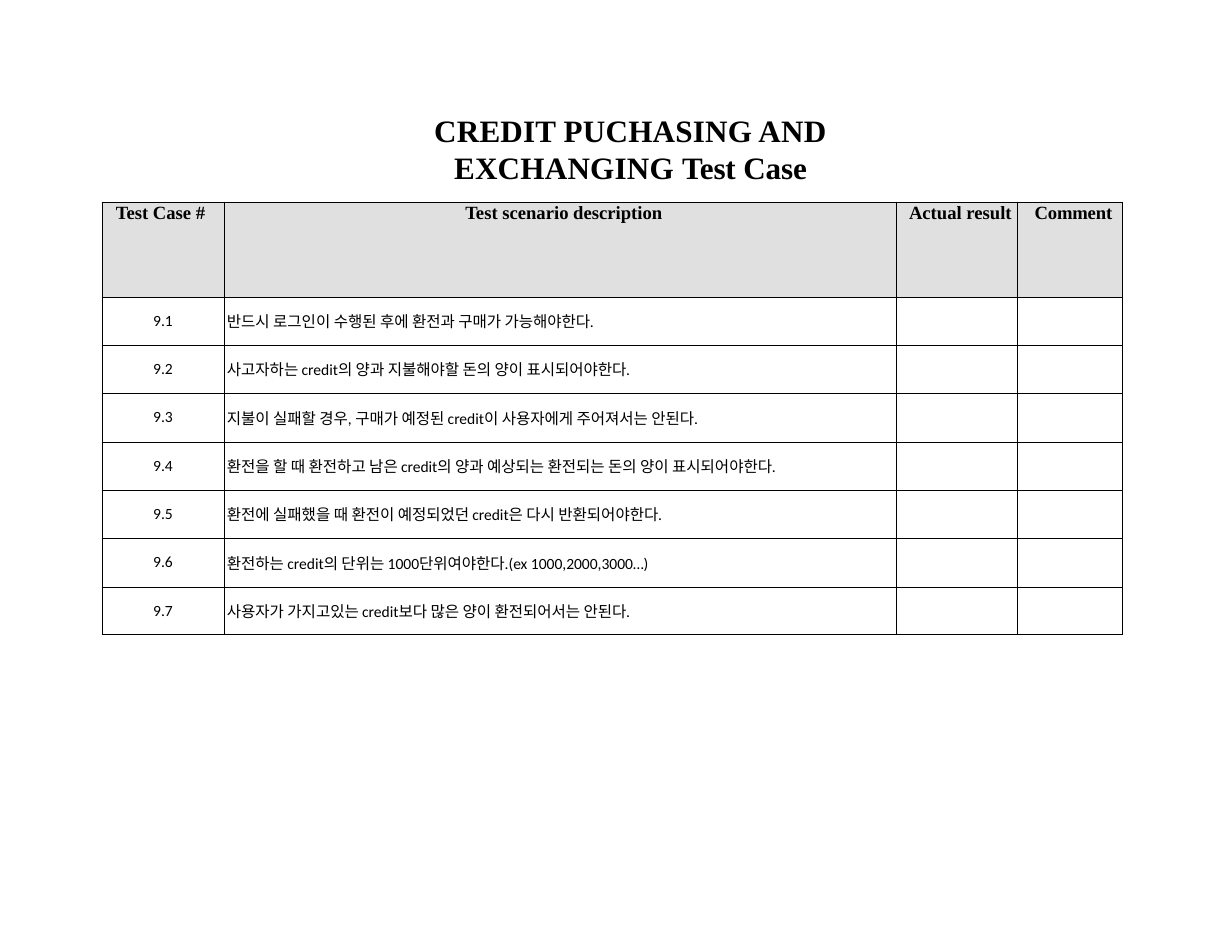
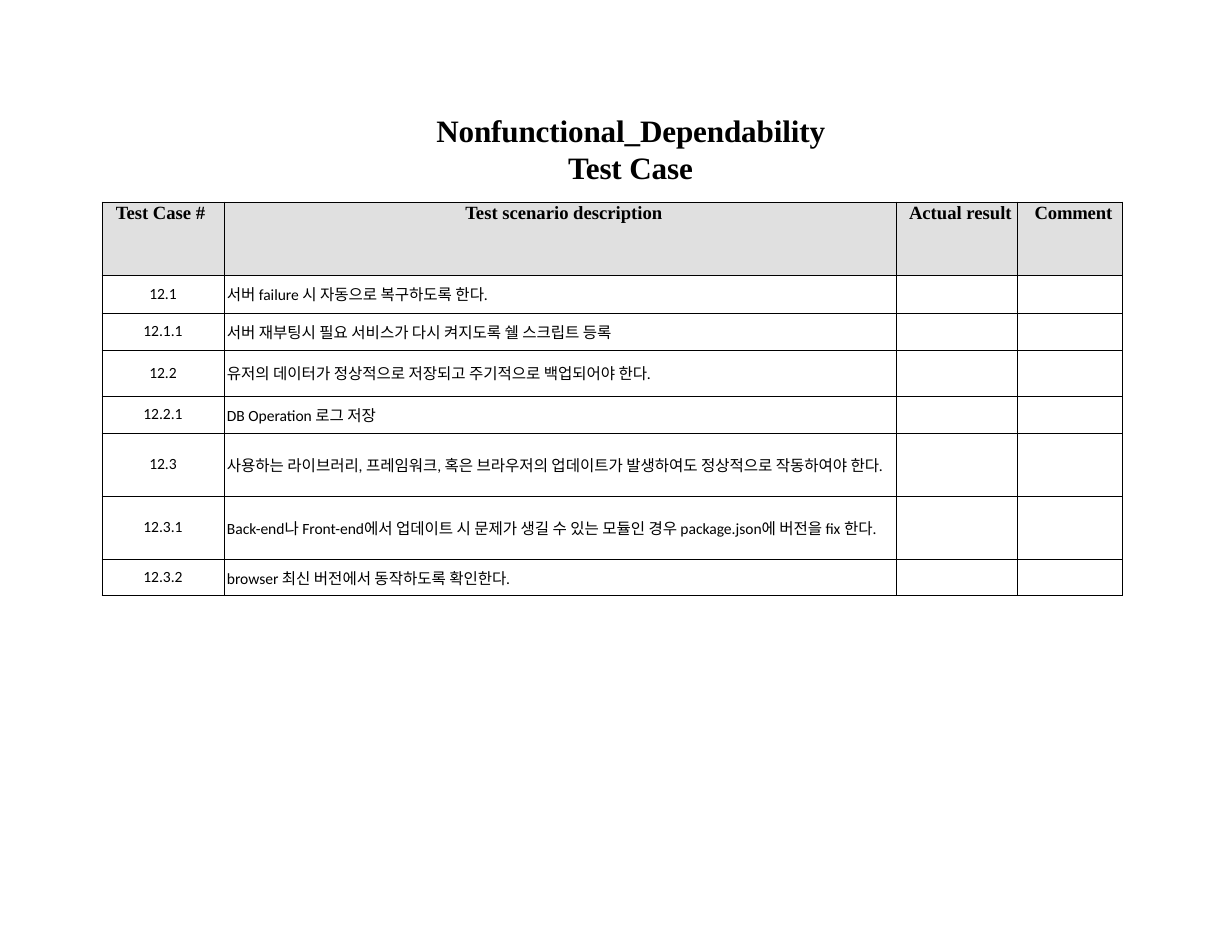
from dataclasses import dataclass

from lxml.etree import SubElement
from pptx import Presentation
from pptx.dml.color import RGBColor
from pptx.enum.text import MSO_ANCHOR as Anchor
from pptx.enum.text import MSO_AUTO_SIZE as AutoSize
from pptx.enum.text import PP_ALIGN as Align
from pptx.oxml.ns import qn
from pptx.slide import Slide
from pptx.table import _Cell as Cell
from pptx.text.text import _Paragraph as Paragraph
from pptx.util import Emu, Pt

PX_PER_INCH = 112
SLIDE_SIZE = (1232, 952)
TITLE_BOX = (420, 110, 420, 77)
TABLE_LEFT, TABLE_TOP = 102, 202
COLUMN_WIDTHS = (122, 672, 121, 105)
BLACK, HEADER_GREY = "000000", "E0E0E0"
HEADING_FONT, BODY_FONT = "Times New Roman", "Calibri"


@dataclass(frozen=True)
class TextStyle:
    font: str
    size: int
    bold: bool = False


TITLE_STYLE = TextStyle(HEADING_FONT, 20, True)
HEADER_STYLE = TextStyle(HEADING_FONT, 12, True)
BODY_STYLE = TextStyle(BODY_FONT, 10)


@dataclass(frozen=True)
class Heading:
    text: str
    indent: int = 8
    space_before: float = 0
    spacing: int = 0


HEADINGS = (
    Heading("Test Case # ", indent=0),
    Heading("Test scenario description"),
    Heading("Actual result", space_before=0.3),
    Heading("Comment", spacing=-10),
)


@dataclass(frozen=True)
class TestCase:
    number: str
    scenario: str
    height: int


@dataclass(frozen=True)
class TestSheet:
    title: tuple[tuple[str, int], ...]  # run text, letter spacing in 1/100 pt
    header_height: int
    cases: tuple[TestCase, ...]


SHEETS = (
    TestSheet(
        (("CREDIT PUCHASING AND EXCHANGING ", 10), ("Test Case", -10)),
        95,
        (
            TestCase("9.1", "반드시 로그인이 수행된 후에 환전과 구매가 가능해야한다.", 48),
            TestCase("9.2", "사고자하는 credit의 양과 지불해야할 돈의 양이 표시되어야한다.", 48),
            TestCase("9.3", "지불이 실패할 경우, 구매가 예정된 credit이 사용자에게 주어져서는 안된다.", 49),
            TestCase("9.4", "환전을 할 때 환전하고 남은 credit의 양과 예상되는 환전되는 돈의 양이 표시되어야한다.", 48),
            TestCase("9.5", "환전에 실패했을 때 환전이 예정되었던 credit은 다시 반환되어야한다.", 48),
            TestCase("9.6", "환전하는 credit의 단위는 1000단위여야한다.(ex 1000,2000,3000…)", 49),
            TestCase("9.7", "사용자가 가지고있는 credit보다 많은 양이 환전되어서는 안된다.", 48),
        ),
    ),
    TestSheet(
        (("Nonfunctional_Dependability Test Case", -10),),
        73,
        (
            TestCase("12.1", "서버 failure 시 자동으로 복구하도록 한다.", 38),
            TestCase("12.1.1", "서버 재부팅시 필요 서비스가 다시 켜지도록 쉘 스크립트 등록", 37),
            TestCase("12.2", "유저의 데이터가 정상적으로 저장되고 주기적으로 백업되어야 한다.", 46),
            TestCase("12.2.1", "DB Operation 로그 저장", 37),
            TestCase("12.3", "사용하는 라이브러리, 프레임워크, 혹은 브라우저의 업데이트가 발생하여도 정상적으로 작동하여야 한다.", 63),
            TestCase("12.3.1", "Back-end나 Front-end에서 업데이트 시 문제가 생길 수 있는 모듈인 경우 package.json에 버전을 fix 한다.", 63),
            TestCase("12.3.2", "browser 최신 버전에서 동작하도록 확인한다.", 37),
        ),
    ),
)


def px(length: int) -> Emu:
    return Emu(round(length * 914400 / PX_PER_INCH))


def color(value: str) -> RGBColor:
    return RGBColor.from_string(value)


def add_run(paragraph: Paragraph, text: str, style: TextStyle, spacing: int = 0) -> None:
    run = paragraph.add_run()
    run.text = text
    run.font.name = style.font
    run.font.size = Pt(style.size)
    run.font.bold = style.bold
    run.font.color.rgb = color(BLACK)
    if spacing:
        run._r.get_or_add_rPr().set("spc", str(spacing))


def indent(paragraph: Paragraph, length: int) -> None:
    properties = paragraph._p.get_or_add_pPr()
    properties.set("marL", str(px(length)))
    properties.set("indent", "0")


def format_cell(cell: Cell, side_margin: int, fill: str | None = None) -> None:
    """Set margins, fill and thin black borders."""
    cell.margin_left = cell.margin_right = px(side_margin)
    cell.margin_top = cell.margin_bottom = 0
    if fill:
        cell.fill.solid()
        cell.fill.fore_color.rgb = color(fill)
    else:
        cell.fill.background()
    properties = cell._tc.get_or_add_tcPr()
    for position, side in enumerate(("lnL", "lnR", "lnT", "lnB")):
        border = SubElement(properties, qn(f"a:{side}"), w=str(Pt(0.5)))
        line_fill = SubElement(border, qn("a:solidFill"))
        SubElement(line_fill, qn("a:srgbClr"), val=BLACK)
        properties.insert(position, border)


def add_title(slide: Slide, parts: tuple[tuple[str, int], ...]) -> None:
    title = slide.shapes.title
    title.left, title.top, title.width, title.height = map(px, TITLE_BOX)
    frame = title.text_frame
    frame.margin_left = frame.margin_right = frame.margin_bottom = 0
    frame.margin_top = px(1)
    frame.word_wrap = True
    frame.auto_size = AutoSize.SHAPE_TO_FIT_TEXT
    frame.vertical_anchor = Anchor.TOP
    paragraph = frame.paragraphs[0]
    paragraph.alignment = Align.CENTER
    paragraph.space_before = Pt(0.9)
    indent(paragraph, 1)
    for text, spacing in parts:
        add_run(paragraph, text, TITLE_STYLE, spacing)


def fill_heading(cell: Cell, heading: Heading) -> None:
    format_cell(cell, 0, HEADER_GREY)
    paragraph = cell.text_frame.paragraphs[0]
    paragraph.alignment = Align.CENTER
    paragraph.line_spacing = Pt(13.8)
    if heading.space_before:
        paragraph.space_before = Pt(heading.space_before)
    indent(paragraph, heading.indent)
    add_run(paragraph, heading.text, HEADER_STYLE, heading.spacing)


def fill_body(cell: Cell, text: str, align: Align) -> None:
    format_cell(cell, 3)
    cell.vertical_anchor = Anchor.MIDDLE
    paragraph = cell.text_frame.paragraphs[0]
    paragraph.alignment = align
    if text:
        add_run(paragraph, text, BODY_STYLE)


def add_case_table(slide: Slide, sheet: TestSheet) -> None:
    heights = [sheet.header_height, *(case.height for case in sheet.cases)]
    table = slide.shapes.add_table(
        len(heights), len(COLUMN_WIDTHS), px(TABLE_LEFT), px(TABLE_TOP),
        px(sum(COLUMN_WIDTHS)), px(sum(heights)),
    ).table
    table.first_row = table.horz_banding = False
    for column, width in zip(table.columns, COLUMN_WIDTHS):
        column.width = px(width)
    for row, height in zip(table.rows, heights):
        row.height = px(height)
    for column, heading in enumerate(HEADINGS):
        fill_heading(table.cell(0, column), heading)
    for row, case in enumerate(sheet.cases, start=1):
        for column, text in enumerate((case.number, case.scenario, "", "")):
            align = Align.LEFT if column else Align.CENTER
            fill_body(table.cell(row, column), text, align)


def main() -> None:
    deck = Presentation()
    deck.slide_width, deck.slide_height = map(px, SLIDE_SIZE)
    title_only = deck.slide_layouts[5]
    for sheet in SHEETS:
        slide = deck.slides.add_slide(title_only)
        add_title(slide, sheet.title)
        add_case_table(slide, sheet)
    deck.save("out.pptx")


if __name__ == "__main__":
    main()
